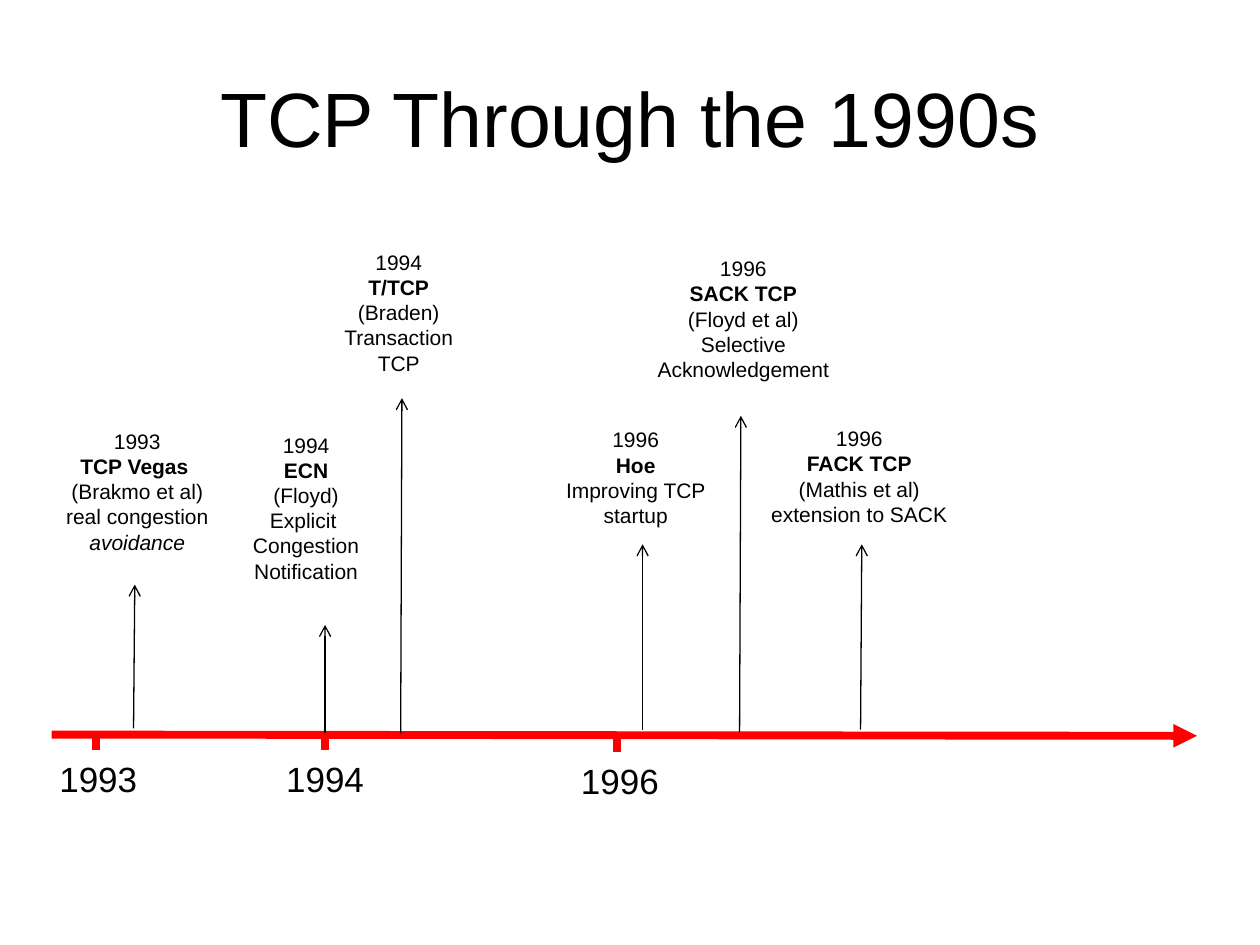
from pptx import Presentation
from pptx.dml.color import RGBColor
from pptx.enum.shapes import MSO_CONNECTOR
from pptx.enum.text import MSO_ANCHOR, MSO_AUTO_SIZE, PP_ALIGN
from pptx.oxml.ns import qn
from pptx.util import Inches, Pt
from lxml.etree import SubElement

BLACK = RGBColor(0x00, 0x00, 0x00)
RED = RGBColor(0xFF, 0x00, 0x00)
FONT = "Arial"

TITLE = "TCP Through the 1990s"
AXIS = (0.41, 5.83, 9.5, 5.84)
TICK_LENGTH = 0.12
YEAR_SIZE = (0.82, 0.44)

# year, tick x, tick top, label left, label top
YEARS = [
    ("1993", 0.76, 5.83, 0.37, 5.96),
    ("1994", 2.58, 5.83, 2.17, 5.96),
    ("1996", 4.9, 5.85, 4.51, 5.98),
]

# year, name, details, italic ending, text box (left, top, width, height),
# wraps, arrow (start x, start y, end x, end y)
EVENTS = [
    ("1993", "TCP Vegas ", ["(Brakmo et al)", "real congestion "], "avoidance",
     (0.17, 3.35, 1.84, 1.1), True, (1.06, 5.78, 1.07, 4.64)),
    ("1994", "ECN", ["(Floyd)", "Explicit ", "Congestion", "Notification"], "",
     (1.91, 3.38, 1.04, 1.3), False, (2.58, 5.82, 2.58, 4.96)),
    ("1994", "T/TCP", ["(Braden)", "Transaction", "TCP"], "",
     (2.63, 1.93, 1.07, 1.1), False, (3.18, 5.82, 3.19, 3.16)),
    ("1996", "Hoe", ["Improving TCP startup"], "",
     (4.2, 3.34, 1.69, 0.9), True, (5.1, 5.79, 5.1, 4.32)),
    ("1996", "SACK TCP", ["(Floyd et al)", "Selective Acknowledgement"], "",
     (5.02, 1.98, 1.76, 1.1), True, (5.87, 5.81, 5.88, 3.3)),
    ("1996", "FACK TCP", ["(Mathis et al)", "extension to SACK"], "",
     (5.81, 3.33, 2.02, 0.9), True, (6.83, 5.79, 6.84, 4.32)),
]


def style(paragraph, size):
    paragraph.alignment = PP_ALIGN.CENTER
    paragraph.font.name = FONT
    paragraph.font.size = Pt(size)
    paragraph.font.color.rgb = BLACK


def add_line(slide, ends, color, width, head=None):
    line = slide.shapes.add_connector(
        MSO_CONNECTOR.STRAIGHT, *(Inches(v) for v in ends))
    line.line.color.rgb = color
    line.line.width = Pt(width)
    properties = line._element.spPr
    if head:
        SubElement(properties.find(qn("a:ln")), qn("a:tailEnd"), type=head)
    SubElement(properties, qn("a:effectLst"))


def add_text(slide, box, lines, size, wraps=False):
    """Add a centred text box and return its paragraphs, one per line."""
    frame = slide.shapes.add_textbox(*(Inches(v) for v in box)).text_frame
    frame.word_wrap = wraps
    frame.auto_size = MSO_AUTO_SIZE.SHAPE_TO_FIT_TEXT
    frame.text = "\n".join(lines)
    for paragraph in frame.paragraphs:
        style(paragraph, size)
    return frame.paragraphs


def main():
    prs = Presentation()
    prs.slide_width, prs.slide_height = Inches(10), Inches(7.5)
    slide = prs.slides.add_slide(prs.slide_layouts[5])

    title = slide.shapes.title
    title.left, title.top = Inches(0.5), Inches(0.3)
    title.width, title.height = Inches(9), Inches(1.25)
    title.text_frame.text = TITLE
    title.text_frame.vertical_anchor = MSO_ANCHOR.MIDDLE
    style(title.text_frame.paragraphs[0], 44)

    add_line(slide, AXIS, RED, 4.5, "triangle")
    for year, x, top, label_left, label_top in YEARS:
        add_line(slide, (x, top, x, top + TICK_LENGTH), RED, 4.5)
        add_text(slide, (label_left, label_top, *YEAR_SIZE), [year], 20)

    for year, name, details, ending, box, wraps, arrow in EVENTS:
        add_line(slide, arrow, BLACK, 0.75, "arrow")
        paragraphs = add_text(slide, box, [year, name, *details], 12, wraps)
        paragraphs[1].font.bold = True
        if ending:
            run = paragraphs[-1].add_run()
            run.text = ending
            run.font.italic = True

    prs.save("out.pptx")


if __name__ == "__main__":
    main()
